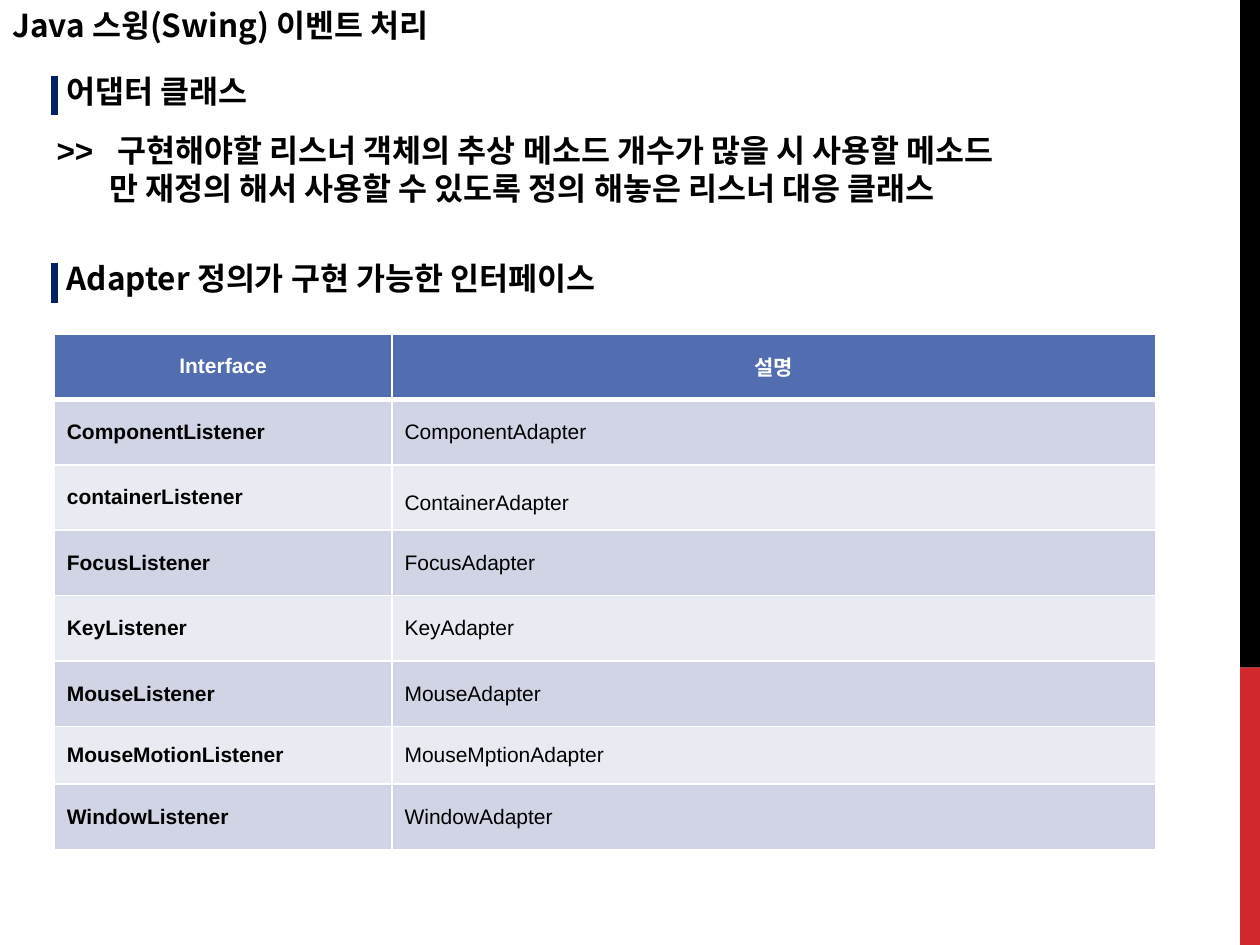
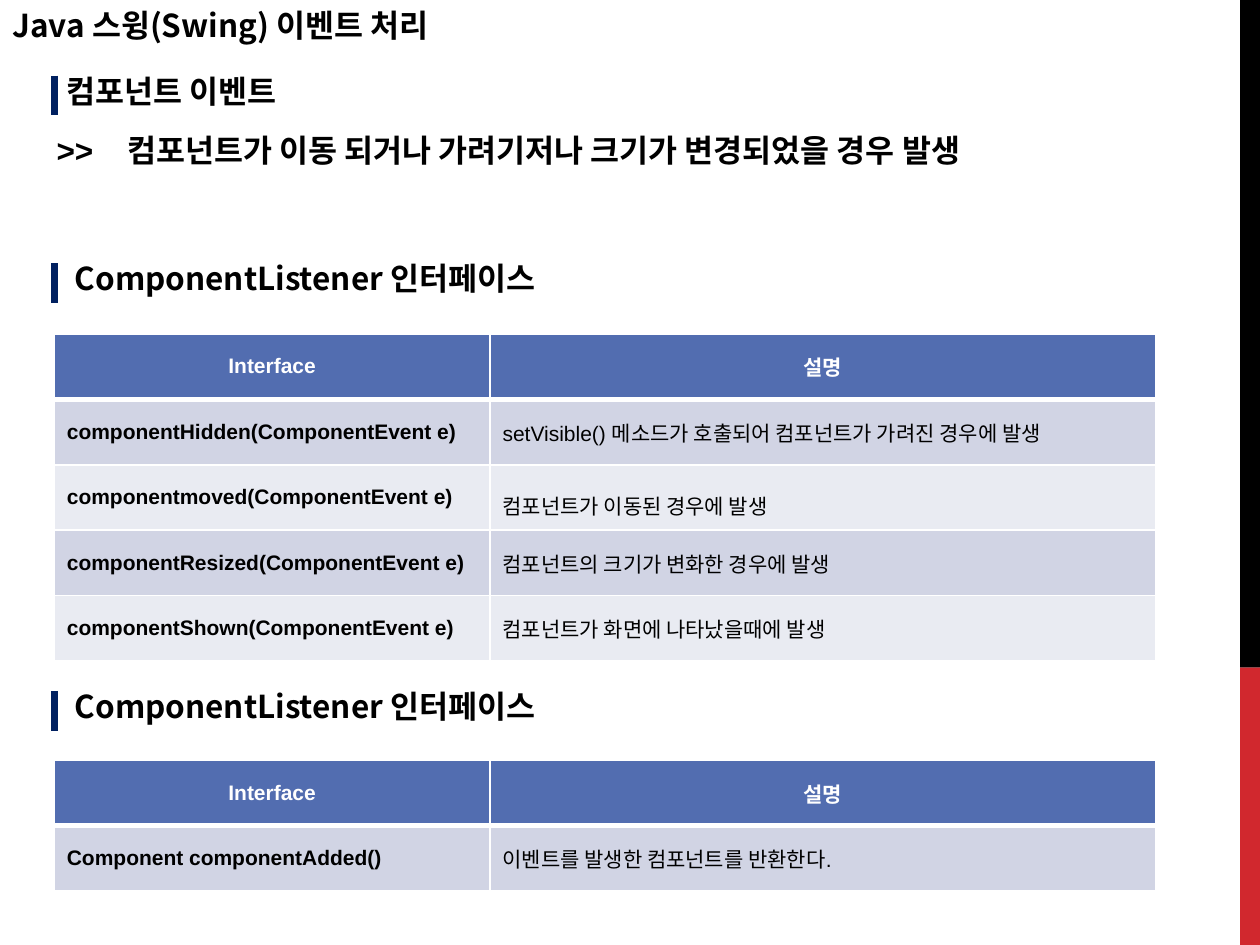
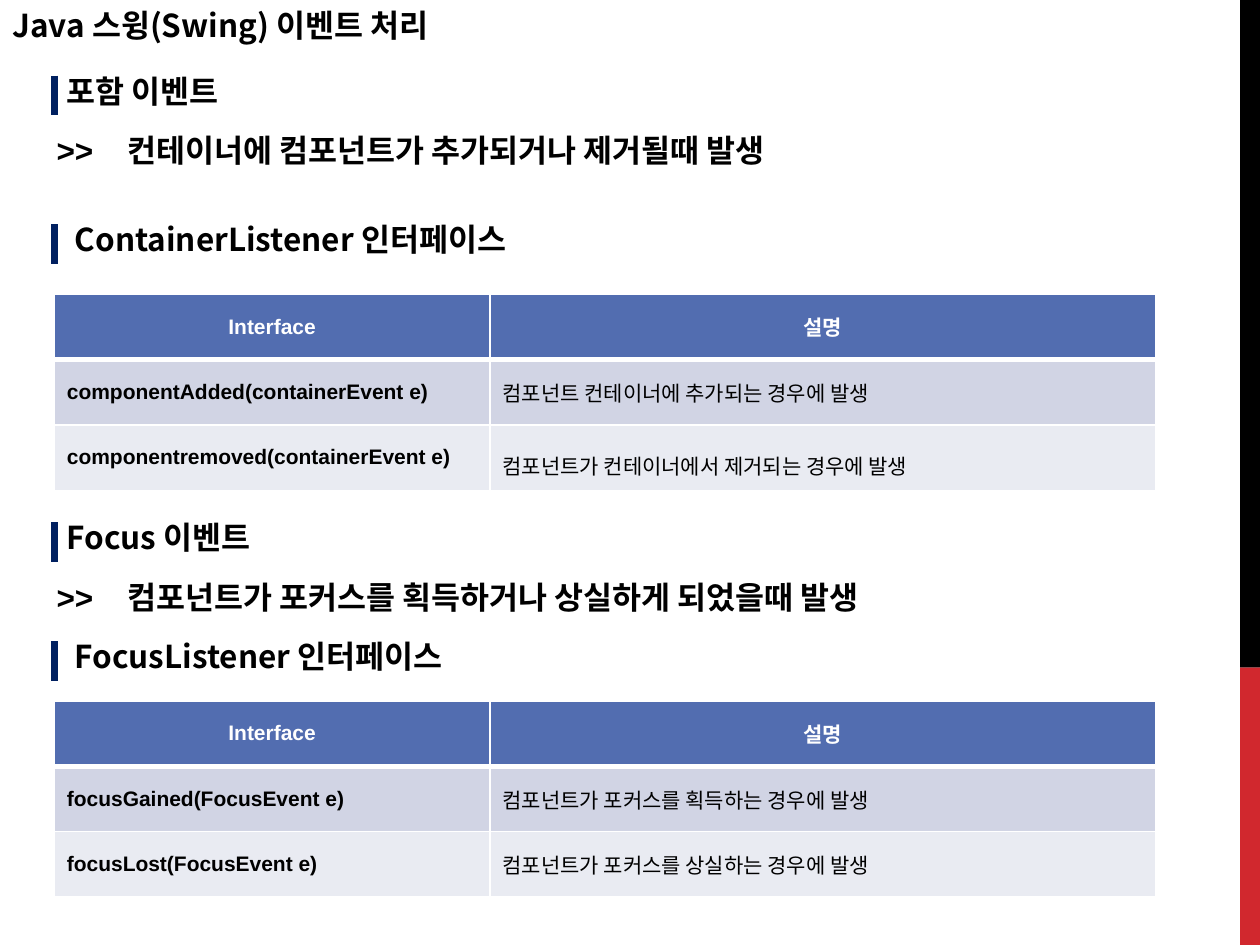
import pptx
import pptx.dml.color
import pptx.enum.shapes
import pptx.enum.text
import pptx.util
from lxml import etree
from pptx.oxml.ns import qn

Pt = pptx.util.Pt


def colour(hex_string):
    return pptx.dml.color.RGBColor.from_string(hex_string)


def write_text(paragraph, text, font="Arial", size=18, color="000000", bold=True,
               align=None, line_spacing=None, margin=0, tab=None):
    """Fill a paragraph with one formatted run."""
    paragraph.alignment = align
    if line_spacing:
        paragraph.line_spacing = line_spacing
    properties = paragraph._p.get_or_add_pPr()
    if margin:
        properties.set("marL", str(Pt(margin)))
        properties.set("indent", "0")
    if tab:
        tabs = etree.SubElement(properties, qn("a:tabLst"))
        etree.SubElement(tabs, qn("a:tab"), pos=str(Pt(tab)), algn="l")
    run = paragraph.add_run()
    run.text = text
    run.font.size = Pt(size)
    run.font.bold = bold
    run.font.color.rgb = colour(color)
    run.font.name = font
    etree.SubElement(run._r.get_or_add_rPr(), qn("a:ea"), typeface=Deck.KOREAN)


class Deck:
    KOREAN = "Noto Sans CJK KR"
    BLACK, RED, NAVY, WHITE = "000000", "D1282E", "002060", "FFFFFF"
    HEADER_FILL, ROW_FILLS = "526DB0", ("D1D4E4", "E9EBF2")
    WIDTH, HEIGHT = 720, 540
    LEFT, CONTENT_WIDTH = 31, 629.2
    BAND_LEFT, BAND_SPLIT = 708.6, 381.4
    LINE_HEIGHT, ROW_HEIGHT = 29, 37.4

    def __init__(self):
        self.presentation = pptx.Presentation()
        self.presentation.slide_width = Pt(self.WIDTH)
        self.presentation.slide_height = Pt(self.HEIGHT)
        self.slide = None

    def new_slide(self):
        """Start a slide with the side bands and the running title."""
        self.slide = self.presentation.slides.add_slide(self.presentation.slide_layouts[6])
        self.band(self.BAND_SPLIT, self.HEIGHT, self.RED)
        self.band(0, self.BAND_SPLIT, self.BLACK)
        write_text(self.text_box(0, 0).paragraphs[0], "Java 스윙(Swing) 이벤트 처리",
                   font=self.KOREAN)

    def band(self, top, bottom, fill):
        shape = self.slide.shapes.add_shape(
            pptx.enum.shapes.MSO_SHAPE.RECTANGLE, Pt(self.BAND_LEFT), Pt(top),
            Pt(self.WIDTH - self.BAND_LEFT), Pt(bottom - top))
        shape.shadow.inherit = False
        shape.fill.solid()
        shape.fill.fore_color.rgb = colour(fill)
        shape.line.fill.background()

    def text_box(self, left, top, width=CONTENT_WIDTH, height=LINE_HEIGHT):
        frame = self.slide.shapes.add_textbox(Pt(left), Pt(top), Pt(width), Pt(height)).text_frame
        frame.word_wrap = True
        frame.auto_size = pptx.enum.text.MSO_AUTO_SIZE.SHAPE_TO_FIT_TEXT
        return frame

    def heading(self, top, text, margin=0):
        """Section heading with a navy bar on its left."""
        write_text(self.text_box(self.LEFT, top).paragraphs[0], text,
                   font=self.KOREAN, margin=margin)
        bar = self.slide.shapes.add_connector(
            pptx.enum.shapes.MSO_CONNECTOR.STRAIGHT,
            Pt(self.LEFT), Pt(top + 5.8), Pt(self.LEFT), Pt(top + 28.6))
        bar.line.color.rgb = colour(self.NAVY)
        bar.line.width = Pt(4)
        etree.SubElement(bar._element.spPr, qn("a:effectLst"))

    def explanation(self, top, text, continuation=None, tab=40.6):
        """Line led by >>, with an optional indented second line."""
        height = 51 if continuation else self.LINE_HEIGHT
        frame = self.text_box(25.2, top, 610.6, height)
        write_text(frame.paragraphs[0], ">>\t" + text, tab=tab)
        if continuation:
            write_text(frame.add_paragraph(), continuation, margin=30.2)

    def table(self, top, rows, first_width=249, loose_row=None, low_row=None):
        """Two-column table; loose_row has wide line spacing, low_row is less high."""
        rows = [("Interface", "설명")] + rows
        table = self.slide.shapes.add_table(
            len(rows), 2, Pt(self.LEFT), Pt(top), Pt(self.CONTENT_WIDTH),
            Pt(self.ROW_HEIGHT * len(rows))).table
        table.columns[0].width = Pt(first_width)
        table.columns[1].width = Pt(self.CONTENT_WIDTH - first_width)
        for row, texts in enumerate(rows):
            table.rows[row].height = Pt(33 if row == low_row else self.ROW_HEIGHT)
            for column, text in enumerate(texts):
                cell = table.cell(row, column)
                if row == 0:
                    self.cell(cell, text, self.HEADER_FILL, bottom=3, color=self.WHITE,
                              align=pptx.enum.text.PP_ALIGN.CENTER)
                else:
                    loose = row == loose_row and column == 1
                    self.cell(cell, text, self.ROW_FILLS[(row - 1) % 2],
                              top=3 if row == 1 else 1, bold=column == 0,
                              line_spacing=1.5 if loose else None)

    def cell(self, cell, text, fill, top=1, bottom=1, **text_format):
        cell.vertical_anchor = pptx.enum.text.MSO_ANCHOR.MIDDLE
        write_text(cell.text_frame.paragraphs[0], text, size=12, **text_format)
        properties = cell._tc.get_or_add_tcPr()
        for side, width in (("L", 1), ("R", 1), ("T", top), ("B", bottom)):
            line = etree.SubElement(properties, qn("a:ln" + side), w=str(Pt(width)))
            solid = etree.SubElement(line, qn("a:solidFill"))
            etree.SubElement(solid, qn("a:srgbClr"), val=self.WHITE)
        cell.fill.solid()
        cell.fill.fore_color.rgb = colour(fill)


def main():
    deck = Deck()
    first_heading, first_explanation = 37.4, 71.3
    interface_margin = 4.6

    # Adapter classes
    deck.new_slide()
    deck.heading(first_heading, "어댑터 클래스")
    deck.table(190.8, [
        ("ComponentListener", "ComponentAdapter"),
        ("containerListener", "ContainerAdapter"),
        ("FocusListener", "FocusAdapter"),
        ("KeyListener", "KeyAdapter"),
        ("MouseListener", "MouseAdapter"),
        ("MouseMotionListener", "MouseMptionAdapter"),
        ("WindowListener", "WindowAdapter"),
    ], first_width=193, loose_row=2, low_row=6)
    deck.explanation(first_explanation,
                     "구현해야할 리스너 객체의 추상 메소드 개수가 많을 시 사용할 메소드",
                     "만 재정의 해서 사용할 수 있도록 정의 해놓은 리스너 대응 클래스", tab=35)
    deck.heading(144.7, "Adapter 정의가 구현 가능한 인터페이스")

    # Component events
    deck.new_slide()
    deck.heading(first_heading, "컴포넌트 이벤트")
    deck.explanation(first_explanation, "컴포넌트가 이동 되거나 가려기저나 크기가 변경되었을 경우 발생")
    deck.heading(144.7, "ComponentListener 인터페이스", interface_margin)
    deck.table(190.8, [
        ("componentHidden(ComponentEvent e)",
         "setVisible() 메소드가 호출되어 컴포넌트가 가려진 경우에 발생"),
        ("componentmoved(ComponentEvent e)", "컴포넌트가 이동된 경우에 발생"),
        ("componentResized(ComponentEvent e)", "컴포넌트의 크기가 변화한 경우에 발생"),
        ("componentShown(ComponentEvent e)", "컴포넌트가 화면에 나타났을때에 발생"),
    ], loose_row=2)
    deck.heading(389, "ComponentListener 인터페이스", interface_margin)
    deck.table(434.5, [("Component componentAdded()", "이벤트를 발생한 컴포넌트를 반환한다.")])

    # Container and focus events
    deck.new_slide()
    deck.heading(first_heading, "포함 이벤트")
    deck.explanation(first_explanation, "컨테이너에 컴포넌트가 추가되거나 제거될때 발생")
    deck.heading(122.4, "ContainerListener 인터페이스", interface_margin)
    deck.table(168, [
        ("componentAdded(containerEvent e)", "컴포넌트 컨테이너에 추가되는 경우에 발생"),
        ("componentremoved(containerEvent e)", "컴포넌트가 컨테이너에서 제거되는 경우에 발생"),
    ], loose_row=2)
    deck.heading(292.5, "Focus 이벤트")
    deck.explanation(326.7, "컴포넌트가 포커스를 획득하거나 상실하게 되었을때 발생")
    deck.heading(360.6, "FocusListener 인터페이스", interface_margin)
    deck.table(400.5, [
        ("focusGained(FocusEvent e)", "컴포넌트가 포커스를 획득하는 경우에 발생"),
        ("focusLost(FocusEvent e)", "컴포넌트가 포커스를 상실하는 경우에 발생"),
    ])

    deck.presentation.save("out.pptx")


if __name__ == "__main__":
    main()
